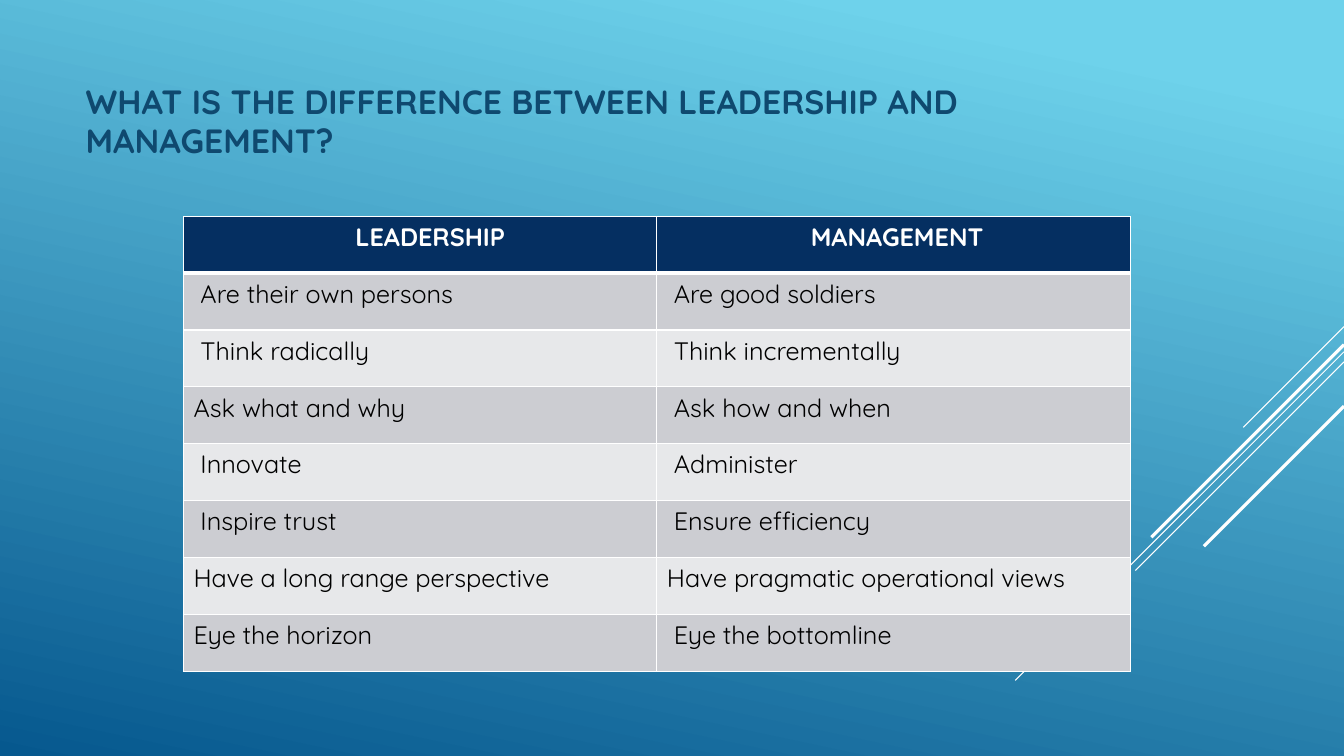
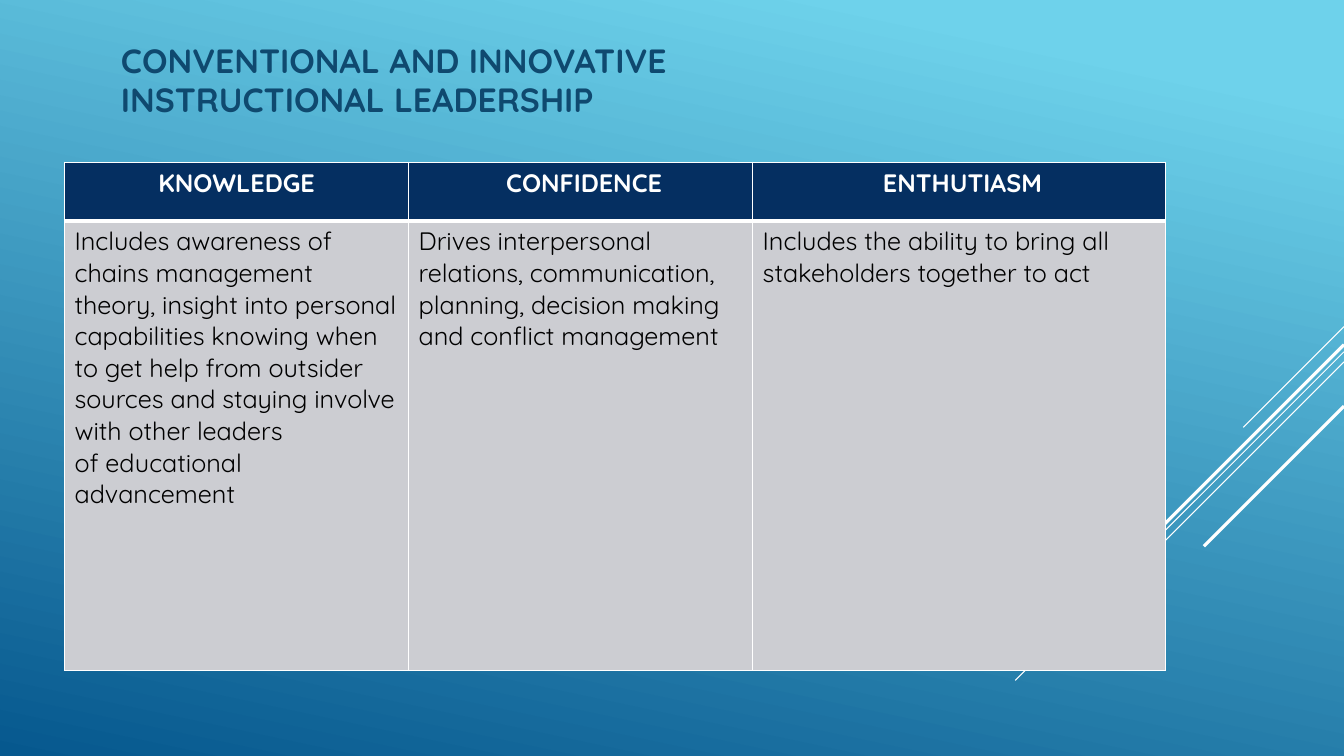
from lxml.etree import SubElement
from pptx import Presentation
from pptx.dml.color import RGBColor
from pptx.enum.shapes import MSO_CONNECTOR as Connector
from pptx.enum.text import MSO_ANCHOR as Anchor, MSO_AUTO_SIZE as AutoSize, PP_ALIGN as Align
from pptx.oxml import parse_xml
from pptx.oxml.ns import nsdecls, qn
from pptx.util import Inches, Pt

# Shared look
FONT = "Quicksand"
SKY = RGBColor(0x6E, 0xD2, 0xEB)
DEEP_BLUE = RGBColor(0x06, 0x58, 0x8E)
TITLE_BLUE = RGBColor(0x0F, 0x49, 0x6F)
NAVY = RGBColor(0x05, 0x2F, 0x61)
GREY = RGBColor(0xCC, 0xCD, 0xD2)
PALE_GREY = RGBColor(0xE7, 0xE8, 0xEA)
WHITE = RGBColor(0xFF, 0xFF, 0xFF)
BLACK = RGBColor(0, 0, 0)

SLIDE_W, SLIDE_H = 13.33, 7.5
# Diagonal rays from the right edge: start height, run, line width
RAYS = [(3.24, 1, 0.75), (3.49, 3.26, 0.75), (3.59, 2.07, 0.75),
        (3.42, 1.91, 2.25), (4.03, 1.39, 2.25)]


def write(frame, text, size=18, color=BLACK, bold=False, align=Align.LEFT, spacing=None):
    """Fill a text frame with one formatted paragraph."""
    frame.word_wrap = True
    paragraph = frame.paragraphs[0]
    paragraph.alignment = align
    if spacing:
        paragraph.line_spacing = spacing
    run = paragraph.add_run()
    run.text = text
    run.font.name, run.font.size = FONT, Pt(size)
    run.font.bold, run.font.color.rgb = bold, color


def paint_background(master):
    fill = master.background.fill
    fill.gradient()
    fill.gradient_angle = 360 - 102
    for stop, position, color in zip(fill.gradient_stops, (0.1, 1), (SKY, DEEP_BLUE)):
        stop.position, stop.color.rgb = position, color


def add_rays(slide):
    for top, run, width in RAYS:
        ray = slide.shapes.add_connector(
            Connector.STRAIGHT, Inches(SLIDE_W), Inches(top),
            Inches(SLIDE_W - run), Inches(top + run))
        ray.line.color.rgb, ray.line.width = WHITE, Pt(width)
        SubElement(ray._element.spPr, qn("a:effectLst"))


def place_title(slide, text, box, bottom_inset):
    title = slide.shapes.title
    title.left, title.top, title.width, title.height = map(Inches, box)
    frame = title.text_frame
    frame.auto_size = AutoSize.NONE
    frame.vertical_anchor = Anchor.MIDDLE
    frame.margin_bottom = Inches(bottom_inset)
    write(frame, text, size=24, color=TITLE_BLUE, bold=True, spacing=0.95)


def set_borders(cell, top, bottom):
    """White borders, with the given points above and below."""
    properties = cell._tc.get_or_add_tcPr()
    sides = (("L", 1), ("R", 1), ("T", top), ("B", bottom))
    for index, (side, points) in enumerate(sides):
        properties.insert(index, parse_xml(
            f'<a:ln{side} {nsdecls("a")} w="{Pt(points)}"><a:solidFill>'
            f'<a:srgbClr val="{WHITE}"/></a:solidFill></a:ln{side}>'))


def add_comparison(slide, rows, box, column_shares, header_height):
    left, top, width, height = box
    table = slide.shapes.add_table(len(rows), len(column_shares), *map(Inches, box)).table
    table.horz_banding = False
    for column, share in zip(table.columns, column_shares):
        column.width = Inches(width * share / sum(column_shares))
    body_height = (height - header_height) / (len(rows) - 1)
    for r, texts in enumerate(rows):
        header = r == 0
        table.rows[r].height = Inches(header_height if header else body_height)
        for c, text in enumerate(texts):
            cell = table.cell(r, c)
            cell.fill.solid()
            cell.fill.fore_color.rgb = NAVY if header else GREY if r % 2 else PALE_GREY
            set_borders(cell, top=3 if r == 1 else 1, bottom=3 if header else 1)
            write(cell.text_frame, text, bold=header,
                  color=WHITE if header else BLACK,
                  align=Align.CENTER if header else Align.LEFT)
    return table


def add_table_slide(deck, title, title_box, rows, table_box, column_shares,
                    header_height, title_bottom_inset=0.05):
    slide = deck.slides.add_slide(deck.slide_layouts[5])
    add_rays(slide)
    place_title(slide, title, title_box, title_bottom_inset)
    return add_comparison(slide, rows, table_box, column_shares, header_height)


deck = Presentation()
deck.slide_width, deck.slide_height = Inches(SLIDE_W), Inches(SLIDE_H)
paint_background(deck.slide_master)

# Slide 1: leadership against management
differences = add_table_slide(
    deck, "WHAT IS THE DIFFERENCE BETWEEN LEADERSHIP AND MANAGEMENT?",
    (0.75, 0.75, 9.33, 0.93),
    [("LEADERSHIP", " MANAGEMENT"),
     (" Are their own persons", " Are good soldiers"),
     (" Think radically", " Think incrementally"),
     ("Ask what and why", " Ask how and when"),
     (" Innovate", " Administer"),
     (" Inspire trust", " Ensure efficiency"),
     ("Have a long range perspective", "Have pragmatic operational views"),
     ("Eye the horizon", " Eye the bottomline")],
    (1.82, 2.15, 9.39, 4.51), (1, 1), header_height=0.56)
differences.cell(0, 0).margin_left = Inches(0.3)

# Slide 2: qualities of instructional leadership
add_table_slide(
    deck, "CONVENTIONAL AND\u00a0INNOVATIVE INSTRUCTIONAL\u00a0LEADERSHIP",
    (1.1, 0.47, 9.02, 1.05),
    [("KNOWLEDGE", " CONFIDENCE", " ENTHUTIASM"),
     ("Includes awareness of chains management theory, insight into personal "
      "capabilities knowing when to get help from outsider sources and staying "
      "involve with other leaders of\u00a0educational advancement",
      "Drives interpersonal relations, communication, planning, decision making "
      "and conflict management",
      "Includes the ability to bring all stakeholders together to act")],
    (0.64, 1.61, 10.92, 5.04), (5, 5, 6), header_height=0.58, title_bottom_inset=0.42)

deck.save("out.pptx")
